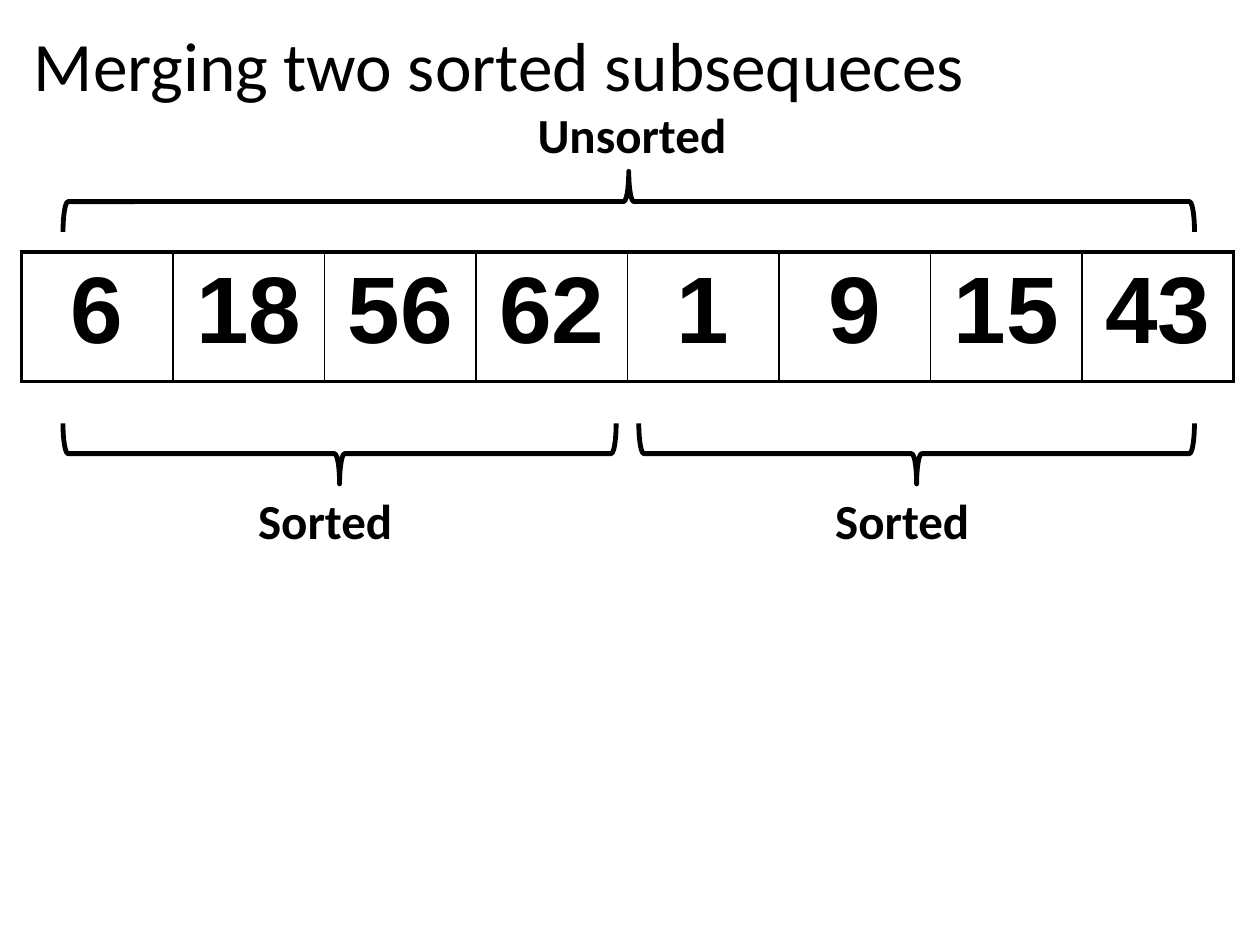
from lxml import etree
from pptx import Presentation
from pptx.dml.color import RGBColor
from pptx.enum.shapes import MSO_SHAPE
from pptx.enum.text import MSO_ANCHOR, PP_ALIGN
from pptx.oxml.ns import qn
from pptx.util import Inches, Pt

BRACE = MSO_SHAPE.LEFT_BRACE
MIDDLE = MSO_ANCHOR.MIDDLE
LEFT, CENTER = PP_ALIGN.LEFT, PP_ALIGN.CENTER

COLORS = {"ink": "000000", "paper": "FFFFFF"}
TITLE = {"name": "Calibri", "size": Pt(39.6), "bold": False}
LABEL = {"name": "Calibri", "size": Pt(28), "bold": True}
NUMBER = {"name": "Arial", "size": Pt(54), "bold": True}

VALUES = [6, 18, 56, 62, 1, 9, 15, 43]
MARGIN, CONTENT_WIDTH = 0.17, 9.62
BRACE_DEPTH = 0.48
THIN, THICK = 1, 2.25
POINT_UP, POINT_DOWN = 90, 270


def color(key):
    return RGBColor.from_string(COLORS[key])


def write(frame, text, style, align):
    para = frame.paragraphs[0]
    para.alignment = align
    span = para.add_run()
    span.text = text
    for key, value in style.items():
        setattr(span.font, key, value)
    span.font.color.rgb = color("ink")
    return para


def add_text(page, text, left, top, width, height, style, align=LEFT):
    box = page.shapes.add_textbox(*map(Inches, (left, top, width, height)))
    box.text_frame.word_wrap = True
    write(box.text_frame, text, style, align)
    return box


def add_brace(page, left, top, width, angle):
    """Lay a brace flat: left, top and width describe it after turning."""
    shift = (width - BRACE_DEPTH) / 2
    frame = (left + shift, top - shift, BRACE_DEPTH, width)
    brace = page.shapes.add_shape(BRACE, *map(Inches, frame))
    brace.rotation = angle
    brace.shadow.inherit = False
    brace.fill.background()
    brace.line.color.rgb = color("ink")
    brace.line.width = Pt(2.75)


def set_borders(cell, widths):
    """Insert the borders ahead of the cell's fill, as the schema orders them."""
    props = cell._tc.get_or_add_tcPr()
    for index, (side, width) in enumerate(widths.items()):
        line = etree.Element(qn(f"a:ln{side}"), w=str(Pt(width)))
        fill = etree.SubElement(line, qn("a:solidFill"))
        etree.SubElement(fill, qn("a:srgbClr"), val=COLORS["ink"])
        props.insert(index, line)


def add_sequence(page, values, top, height):
    frame = (MARGIN, top, CONTENT_WIDTH, height)
    table = page.shapes.add_table(1, len(values), *map(Inches, frame)).table
    table.first_row = table.horz_banding = False
    last = len(values) - 1
    for index, value in enumerate(values):
        cell = table.cell(0, index)
        cell.fill.solid()
        cell.fill.fore_color.rgb = color("paper")
        para = write(cell.text_frame, str(value), NUMBER, CENTER)
        # Space before is a share of the text size
        space = etree.SubElement(para._p.get_or_add_pPr(), qn("a:spcBef"))
        etree.SubElement(space, qn("a:spcPct"), val="20000")
        set_borders(cell, {
            "L": THICK if index == 0 else THIN,
            "R": THICK if index == last else THIN,
            "T": THICK,
            "B": THICK,
        })


def main():
    deck = Presentation()
    deck.slide_width, deck.slide_height = Inches(10), Inches(7.5)
    page = deck.slides.add_slide(deck.slide_layouts[6])

    # Title
    title = add_text(page, "Merging two sorted subsequeces",
                     MARGIN, 0.18, CONTENT_WIDTH, 0.74, TITLE)
    title.text_frame.vertical_anchor = MIDDLE
    title.text_frame.paragraphs[0].line_spacing = 0.9

    # Number sequence
    add_sequence(page, VALUES, 2, 1.03)

    # Sorted halves below
    for brace_left, brace_width, label_left in ((0.5, 4.39, 1.95), (5.07, 4.41, 6.53)):
        add_brace(page, brace_left, 3.36, brace_width, POINT_DOWN)
        add_text(page, "Sorted", label_left, 3.84, 1.48, 0.57, LABEL)

    # Unsorted whole above
    add_text(page, "Unsorted", 4.04, 0.78, 1.95, 0.57, LABEL, CENTER)
    add_brace(page, 0.5, 1.36, 8.98, POINT_UP)

    deck.save("out.pptx")


if __name__ == "__main__":
    main()
